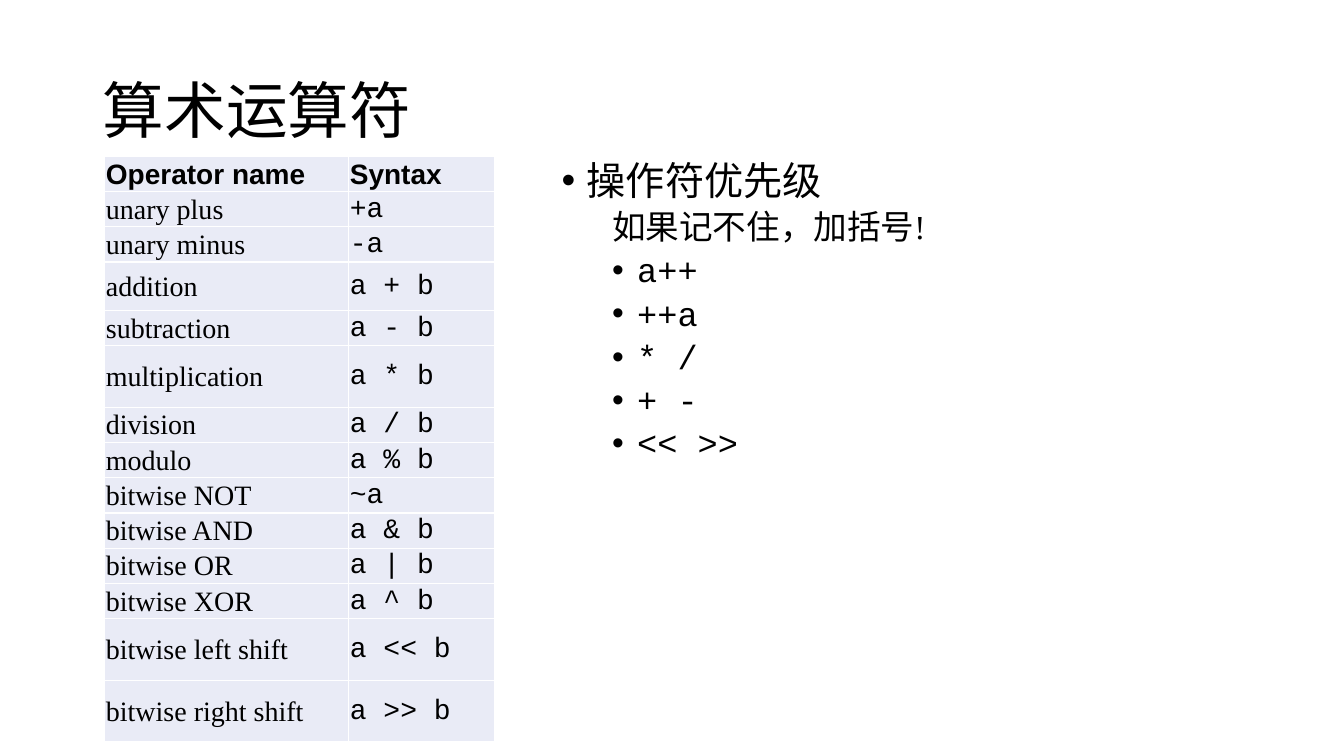
import pptx
import pptx.util
import pptx.dml.color
import pptx.enum.text
import pptx.oxml.ns
from lxml import etree

Inches, Pt = pptx.util.Inches, pptx.util.Pt

# Content
TITLE = "算术运算符"
HEADER = ("Operator name", "Syntax")
OPERATORS = [
    ("unary plus", "+a"),
    ("unary minus", "-a"),
    ("addition", "a + b"),
    ("subtraction", "a - b"),
    ("multiplication", "a * b"),
    ("division", "a / b"),
    ("modulo", "a % b"),
    ("bitwise NOT", "~a"),
    ("bitwise AND", "a & b"),
    ("bitwise OR", "a | b"),
    ("bitwise XOR", "a ^ b"),
    ("bitwise left shift", "a << b"),
    ("bitwise right shift", "a >> b"),
]
PRECEDENCE_HEADING = "操作符优先级"
PRECEDENCE_HINT = "如果记不住，加括号!"
PRECEDENCE = ["a++", "++a", "* /", "+ -", "<< >>"]

# Style and grid
COLORS = {"text": "000000", "cell": "E9EBF6", "border": "FFFFFF"}
SERIF, SANS, MONO = "Times New Roman", "Arial", "Courier New"
COLUMN_WIDTHS = (2.42, 1.45)
ROW_HEIGHT = 0.35
TALL_ROWS = {"addition": 0.48, "multiplication": 0.61,
             "bitwise left shift": 0.61, "bitwise right shift": 0.61}
CONTENT_TOP = 1.55


def add_element(parent, tag, **attributes):
    return etree.SubElement(parent, pptx.oxml.ns.qn(tag), attributes)


def set_font(paragraph, size, name, bold=False):
    font = paragraph.font
    font.size, font.name, font.bold = Pt(size), name, bold
    font.color.rgb = pptx.dml.color.RGBColor.from_string(COLORS["text"])


def place(shape, left, top, width, height):
    shape.left, shape.top = Inches(left), Inches(top)
    shape.width, shape.height = Inches(width), Inches(height)
    shape.text_frame.auto_size = pptx.enum.text.MSO_AUTO_SIZE.NONE


def format_cell(cell, text, name, bold):
    cell.margin_left = cell.margin_right = cell.margin_top = Inches(0.01)
    cell.margin_bottom = 0
    cell.vertical_anchor = pptx.enum.text.MSO_ANCHOR.MIDDLE
    properties = cell._tc.get_or_add_tcPr()
    for side in ("a:lnL", "a:lnR", "a:lnT", "a:lnB"):
        line = add_element(properties, side, w=str(Pt(1)))
        add_element(add_element(line, "a:solidFill"), "a:srgbClr", val=COLORS["border"])
    cell.fill.solid()
    cell.fill.fore_color.rgb = pptx.dml.color.RGBColor.from_string(COLORS["cell"])
    cell.text = text
    set_font(cell.text_frame.paragraphs[0], 20, name, bold)


presentation = pptx.Presentation()
presentation.slide_width, presentation.slide_height = Inches(13.33), Inches(7.5)
slide = presentation.slides.add_slide(presentation.slide_layouts[1])

# Title
title = slide.shapes.title
place(title, 0.92, 0.4, 11.5, 1.45)
title.text_frame.text = TITLE
title.text_frame.vertical_anchor = pptx.enum.text.MSO_ANCHOR.MIDDLE
heading = title.text_frame.paragraphs[0]
heading.alignment = pptx.enum.text.PP_ALIGN.LEFT
heading.line_spacing = 0.9
set_font(heading, 44, SERIF)

# Precedence list: text, level, left margin, hanging indent, size, font
body = slide.placeholders[1]
place(body, 5.47, CONTENT_TOP, 4.49, 4.89)
lines = [(PRECEDENCE_HEADING, 0, 0.25, 0.25, 28, SERIF),
         (PRECEDENCE_HINT, 1, 0.5, 0, 24, SERIF)]
lines += [(operators, 1, 0.75, 0.25, 24, MONO) for operators in PRECEDENCE]
body.text_frame.text = "\n".join(line[0] for line in lines)
for paragraph, (_, level, margin, hanging, size, name) in zip(body.text_frame.paragraphs, lines):
    paragraph.level = level
    paragraph.line_spacing = 0.9
    paragraph.space_before = Pt(5 * level)
    properties = paragraph._p.get_or_add_pPr()
    properties.set("marL", str(Inches(margin)))
    properties.set("indent", str(-Inches(hanging)))
    if hanging:
        add_element(properties, "a:buFont", typeface=SANS)
        add_element(properties, "a:buChar", char="•")
    else:
        add_element(properties, "a:buNone")
    set_font(paragraph, size, name)

# Operator table
rows = [HEADER] + OPERATORS
heights = [TALL_ROWS.get(label, ROW_HEIGHT) for label, _ in rows]
table = slide.shapes.add_table(
    len(rows), len(HEADER), Inches(1.04), Inches(CONTENT_TOP),
    Inches(sum(COLUMN_WIDTHS)), Inches(sum(heights))).table
table.first_row = table.horz_banding = False
for column, width in zip(table.columns, COLUMN_WIDTHS):
    column.width = Inches(width)
for row_index, (row, height) in enumerate(zip(rows, heights)):
    table.rows[row_index].height = Inches(height)
    is_header = row_index == 0
    fonts = (SANS, SANS) if is_header else (SERIF, MONO)
    for column_index, (text, name) in enumerate(zip(row, fonts)):
        format_cell(table.cell(row_index, column_index), text, name, is_header)

presentation.save("out.pptx")
